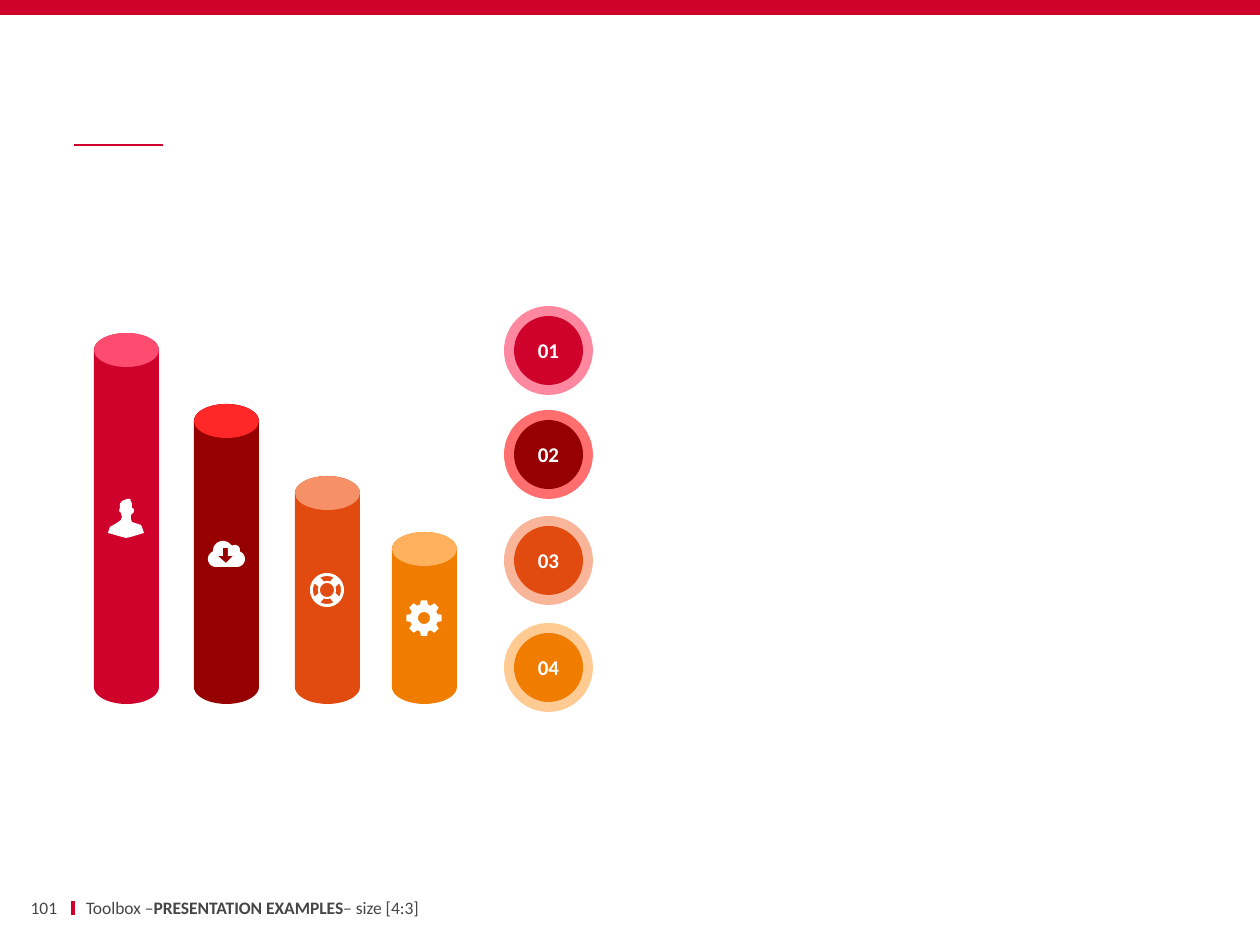
"""Build a slide with four icon cylinders, numbered badges and a footer."""
from math import cos, radians, sin

from lxml.etree import SubElement
from pptx import Presentation
from pptx.dml.color import RGBColor
from pptx.enum.shapes import MSO_CONNECTOR, MSO_SHAPE
from pptx.enum.text import MSO_ANCHOR, PP_ALIGN
from pptx.oxml.ns import qn
from pptx.util import Pt

SCALE = 914400 / 126
COLORS = {
    "red": "CF022B", "red_cap": "FD4C70", "red_ring": "FE889F",
    "maroon": "960000", "maroon_cap": "FF2727", "maroon_ring": "FF6F6F",
    "rust": "E14B0F", "rust_cap": "F59067", "rust_ring": "F8B59A",
    "orange": "F07D00", "orange_cap": "FFB15D", "orange_ring": "FFCB93",
    "white": "FFFFFF", "gray": "464646",
}
BOTTOM, BAR_W, CAP_H = 704, 65, 34
BADGE_X, BADGE_SIZE, RING = 504, 89, 10


def emu(px):
    return round(px * SCALE)


def rgb(name):
    return RGBColor.from_string(COLORS[name])


def arc(cx, cy, rx, ry, start, end, steps=24):
    angles = [radians(start + (end - start) * i / steps) for i in range(steps + 1)]
    return [(cx + rx * cos(a), cy + ry * sin(a)) for a in angles]


def circle(cx, cy, r):
    return arc(cx, cy, r, r, 0, 360, 48)


def person_icon():
    return [[
        (142, 527), (141, 525), (132, 522), (131, 519), (131, 515), (134, 512),
        (134, 509), (132, 508), (132, 504), (131, 501), (130, 500), (131, 499),
        (127, 499), (122, 501), (120, 504), (120, 508), (119, 511), (121, 513),
        (122, 517), (121, 520), (117, 523), (110, 527), (108, 533), (122, 537),
        (126, 538), (131, 537), (144, 533),
    ]]


def cloud_icon():
    lobes = [(216, 559, 8, 90, 250), (223, 551, 10, 180, 320),
             (235, 550, 5, 240, 380), (237, 559, 8, -65, 90)]
    outline = [p for x, y, r, a, b in lobes for p in arc(x, y, r, r, a, b)]
    arrow = [(223, 548), (228, 548), (228, 556), (233, 556),
             (226, 563), (218, 556), (223, 556)]
    return [outline, arrow]


def lifebuoy_icon(cx=327, cy=590):
    slots = [arc(cx, cy, 14, 14, a - 28, a + 28) + arc(cx, cy, 9, 9, a + 20, a - 20)
             for a in range(0, 360, 90)]
    return [circle(cx, cy, 17), circle(cx, cy, 7)] + slots


def gear_icon(cx=424, cy=618):
    profile = [(-16, 14), (-10, 18), (10, 18), (16, 14)]
    teeth = [(cx + r * cos(radians(a + d)), cy + r * sin(radians(a + d)))
             for a in range(0, 360, 45) for d, r in profile]
    return [teeth, circle(cx, cy, 6)]


class Deck:
    """Hold the text style and the current slide, and draw its elements."""

    def __init__(self, slide, font="Calibri"):
        self.s = slide
        self.font = font

    def paint(self, sp, color):
        sp.shadow.inherit = False
        sp.fill.solid()
        sp.fill.fore_color.rgb = rgb(color)
        sp.line.fill.background()
        return sp

    def shape(self, kind, x, y, w, h, color):
        box = map(emu, (x, y, w, h))
        return self.paint(self.s.shapes.add_shape(kind, *box), color)

    def outline(self, contours, color):
        loops = [[(emu(x), emu(y)) for x, y in c] for c in contours]
        builder = self.s.shapes.build_freeform(*loops[0][0])
        builder.add_line_segments(loops[0][1:])
        for loop in loops[1:]:
            builder.move_to(*loop[0])
            builder.add_line_segments(loop[1:])
        return self.paint(builder.convert_to_shape(), color)

    def line(self, x1, y1, x2, y2, color, width):
        ends = map(emu, (x1, y1, x2, y2))
        c = self.s.shapes.add_connector(MSO_CONNECTOR.STRAIGHT, *ends)
        c.line.color.rgb = rgb(color)
        c.line.width = Pt(width)
        SubElement(c._element.spPr, qn("a:effectLst"))

    def set_text(self, sp, runs, size, color, align, inset=0, wrap=True):
        tf = sp.text_frame
        frame = {"word_wrap": wrap, "vertical_anchor": MSO_ANCHOR.MIDDLE,
                 "margin_left": emu(inset), "margin_right": emu(inset),
                 "margin_top": 0, "margin_bottom": 0}
        for name, value in frame.items():
            setattr(tf, name, value)
        p = tf.paragraphs[0]
        p.alignment = align
        for text, bold in runs:
            r = p.add_run()
            r.text = text
            style = {"name": self.font, "size": Pt(size), "bold": bold}
            for name, value in style.items():
                setattr(r.font, name, value)
            r.font.color.rgb = rgb(color)

    def text(self, x, y, w, h, runs, align, inset=0):
        sp = self.s.shapes.add_textbox(*map(emu, (x, y, w, h)))
        self.set_text(sp, runs, 10, "gray", align, inset)

    def cylinder(self, x, top, color):
        rx, ry = BAR_W / 2, CAP_H / 2
        body = (arc(x + rx, top + ry, rx, ry, 180, 360)
                + arc(x + rx, BOTTOM - ry, rx, ry, 0, 180))
        self.outline([body], color)
        self.shape(MSO_SHAPE.OVAL, x, top, BAR_W, CAP_H, color + "_cap")

    def badge(self, y, label, color):
        inner = BADGE_SIZE - 2 * RING
        self.shape(MSO_SHAPE.OVAL, BADGE_X, y, BADGE_SIZE, BADGE_SIZE, color + "_ring")
        sp = self.shape(MSO_SHAPE.OVAL, BADGE_X + RING, y + RING, inner, inner, color)
        self.set_text(sp, [(label, True)], 12, "white", PP_ALIGN.CENTER, wrap=False)


def main():
    prs = Presentation()
    prs.slide_width, prs.slide_height = emu(1260), emu(945)
    deck = Deck(prs.slides.add_slide(prs.slide_layouts[6]))

    deck.line(73, 901, 73, 915, "red", 2.25)
    deck.line(74, 145, 163, 145, "red", 1)
    deck.shape(MSO_SHAPE.RECTANGLE, 0, 0, 1260, 15, "red")

    items = [
        ("red", 94, 333, 306, person_icon),
        ("maroon", 194, 404, 410, cloud_icon),
        ("rust", 295, 476, 516, lifebuoy_icon),
        ("orange", 392, 532, 623, gear_icon),
    ]
    for number, (color, x, top, badge_y, icon) in enumerate(items, 1):
        deck.cylinder(x, top, color)
        deck.badge(badge_y, f"{number:02}", color)
        deck.outline(icon(), "white")

    deck.text(16, 896, 41, 23, [("101", False)], PP_ALIGN.RIGHT)
    footer = [("Toolbox –", False), ("PRESENTATION EXAMPLES", True),
              ("– size [4:3]", False)]
    deck.text(73, 896, 626, 23, footer, PP_ALIGN.LEFT, 13)
    prs.save("out.pptx")


if __name__ == "__main__":
    main()
